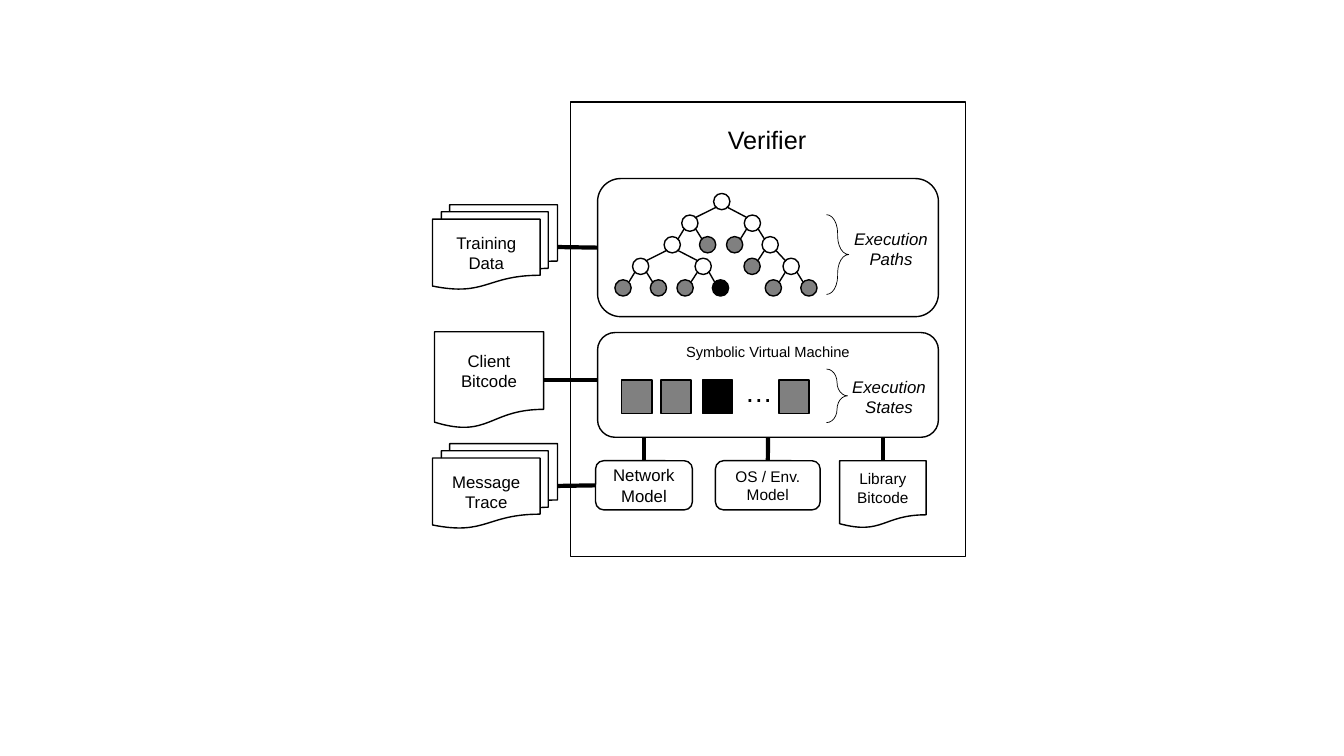
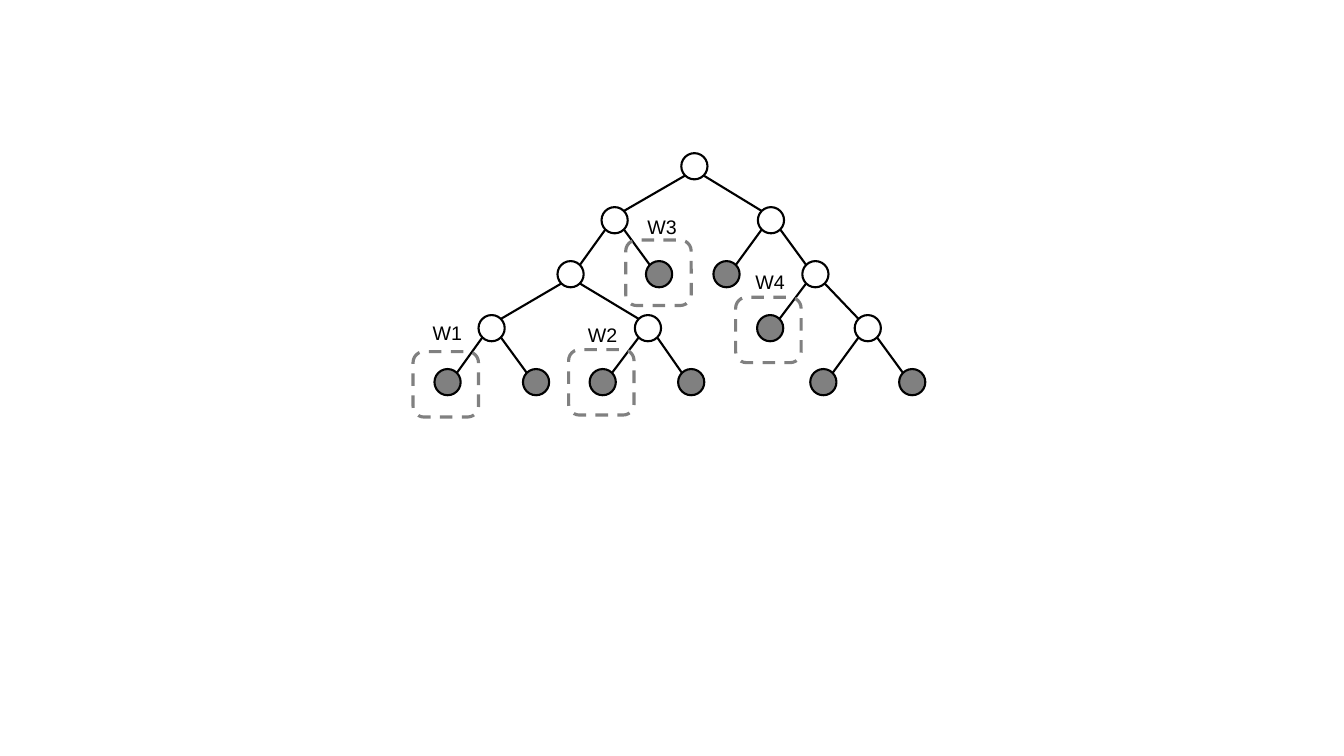
from dataclasses import dataclass
from typing import NamedTuple, Optional

from lxml.etree import SubElement
from pptx import Presentation
from pptx.dml.color import RGBColor
from pptx.enum.dml import MSO_LINE
from pptx.enum.shapes import MSO_CONNECTOR, MSO_SHAPE as Preset
from pptx.enum.text import MSO_ANCHOR as Anchor, MSO_AUTO_SIZE as AutoSize, PP_ALIGN as Align
from pptx.oxml.ns import qn
from pptx.util import Cm, Pt

FONT = "Arial"
BLACK, GREY, WHITE = "000000", "808080", "FFFFFF"
LEVEL_GAP = 1.36
TOP, LEFT, BOTTOM, RIGHT = range(4)


class Area(NamedTuple):
    x: float
    y: float
    width: float
    height: float


class Node(NamedTuple):
    x: float
    depth: int
    parent: Optional[int]


@dataclass
class Part:
    preset: Preset
    area: Area
    text: str = ""
    size: float = 12
    anchor: Anchor = Anchor.MIDDLE
    fill: Optional[str] = None


class Worker(NamedTuple):
    name: str
    box: tuple[float, float]
    label: tuple[float, float]


TREE = (
    Node(0, 0, None),
    Node(-2.01, 1, 0), Node(1.93, 1, 0),
    Node(-3.12, 2, 1), Node(-0.89, 2, 1), Node(0.81, 2, 2), Node(3.05, 2, 2),
    Node(-5.11, 3, 3), Node(-1.17, 3, 3), Node(1.91, 3, 6), Node(4.37, 3, 6),
    Node(-6.22, 4, 7), Node(-3.99, 4, 7), Node(-2.31, 4, 8), Node(-0.08, 4, 8),
    Node(3.25, 4, 10), Node(5.49, 4, 10),
)
FOUND_PATH = 14

PARTS = {
    "verifier": Part(Preset.RECTANGLE, Area(14.38, 2.57, 9.96, 11.46)),
    "paths": Part(Preset.FLOWCHART_ALTERNATE_PROCESS, Area(15.06, 4.5, 8.59, 3.48), fill=WHITE),
    "machine": Part(Preset.FLOWCHART_ALTERNATE_PROCESS, Area(15.06, 8.38, 8.59, 2.64),
                    "Symbolic Virtual Machine", 10.5, Anchor.TOP, WHITE),
    "training": Part(Preset.FLOWCHART_MULTIDOCUMENT, Area(10.9, 5.16, 3.15, 2.13), "Training Data"),
    "client": Part(Preset.FLOWCHART_DOCUMENT, Area(10.95, 8.36, 2.75, 2.44), "Client\nBitcode"),
    "trace": Part(Preset.FLOWCHART_MULTIDOCUMENT, Area(10.9, 11.18, 3.15, 2.13), "Message Trace"),
    "network": Part(Preset.FLOWCHART_ALTERNATE_PROCESS, Area(15.01, 11.61, 2.44, 1.24),
                    "Network\nModel"),
    "system": Part(Preset.FLOWCHART_ALTERNATE_PROCESS, Area(18.03, 11.61, 2.64, 1.24),
                   "OS / Env.\nModel", 11),
    "library": Part(Preset.FLOWCHART_DOCUMENT, Area(21.16, 11.61, 2.18, 1.7),
                    "Library\nBitcode", 11),
}
JOINED = (
    ("training", RIGHT, "paths", LEFT),
    ("trace", RIGHT, "network", LEFT),
    ("system", TOP, "machine", BOTTOM),
)
HALF_JOINED = (
    ("client", RIGHT, (15.06, 9.58)),
    ("network", TOP, (16.23, 11.02)),
    ("library", TOP, (22.25, 11.02)),
)
STATES = ((15.67, GREY), (16.66, GREY), (17.7, BLACK), (19.63, GREY))
BRACES = (Area(20.83, 5.41, 0.56, 2.01), Area(20.83, 9.3, 0.53, 1.35))
WORKERS = (
    Worker("W1", (10.41, 8.86), (10.64, 7.95)),
    Worker("W2", (14.33, 8.81), (14.55, 8)),
    Worker("W3", (15.77, 6.05), (16.05, 5.28)),
    Worker("W4", (18.54, 7.49), (18.77, 6.68)),
)


def colour(hex_code: str) -> RGBColor:
    return RGBColor.from_string(hex_code)


def write(frame, text: str, *, size: float = 12, align: Align = Align.CENTER,
          anchor: Anchor = Anchor.TOP, italic: bool = False, wrap: bool = True) -> None:
    frame.text = text
    frame.word_wrap = wrap
    frame.vertical_anchor = anchor
    for paragraph in frame.paragraphs:
        paragraph.alignment = align
        for run in paragraph.runs:
            run.font.name = FONT
            run.font.size = Pt(size)
            run.font.italic = italic
            run.font.color.rgb = colour(BLACK)


def add_label(shapes, area: Area, text: str, **style) -> None:
    frame = shapes.add_textbox(*map(Cm, area)).text_frame
    write(frame, text, **style)
    frame.auto_size = AutoSize.SHAPE_TO_FIT_TEXT


def add_outline(shapes, preset: Preset, area: Area, *, fill: Optional[str] = None,
                line: str = BLACK, weight: float = 1):
    outline = shapes.add_shape(preset, *map(Cm, area))
    outline.shadow.inherit = False
    if fill:
        outline.fill.solid()
        outline.fill.fore_color.rgb = colour(fill)
    else:
        outline.fill.background()
    outline.line.color.rgb = colour(line)
    outline.line.width = Pt(weight)
    return outline


def add_link(shapes, start: tuple[float, float], end: tuple[float, float], weight: float):
    link = shapes.add_connector(MSO_CONNECTOR.STRAIGHT, *map(Cm, start + end))
    link.line.color.rgb = colour(BLACK)
    link.line.width = Pt(weight)
    SubElement(link._element.spPr, qn("a:effectLst"))
    return link


def add_tree(shapes, root: tuple[float, float], scale: float, diameter: float,
             weight: float, found: Optional[int] = None) -> None:
    """Draw the execution tree, its edges meeting the circles on their diagonals."""
    centres = [(root[0] + node.x * scale, root[1] + node.depth * LEVEL_GAP * scale)
               for node in TREE]
    parents = {node.parent for node in TREE}
    reach = diameter / 2 * 0.71
    for index, (node, (x, y)) in enumerate(zip(TREE, centres)):
        if node.parent is not None:
            parent_x, parent_y = centres[node.parent]
            side = reach if x > parent_x else -reach
            add_link(shapes, (parent_x + side, parent_y + reach), (x - side, y - reach), weight)
        fill = BLACK if index == found else WHITE if index in parents else GREY
        circle = Area(x - diameter / 2, y - diameter / 2, diameter, diameter)
        add_outline(shapes, Preset.OVAL, circle, fill=fill, weight=weight)


def build_verifier(shapes) -> None:
    drawn = {}
    for name, part in PARTS.items():
        drawn[name] = add_outline(shapes, part.preset, part.area, fill=part.fill)
        if part.text:
            write(drawn[name].text_frame, part.text, size=part.size, anchor=part.anchor)
    for source, source_side, target, target_side in JOINED:
        link = add_link(shapes, (0, 0), (0, 0), 3)
        link.begin_connect(drawn[source], source_side)
        link.end_connect(drawn[target], target_side)
    for source, side, end in HALF_JOINED:
        add_link(shapes, end, end, 3).begin_connect(drawn[source], side)

    add_label(shapes, Area(18.06, 3, 2.54, 1.02), "Verifier", size=18, wrap=False)
    add_tree(shapes, (18.19, 5.08), 0.4, 0.41, 1, FOUND_PATH)
    for x, fill in STATES:
        add_outline(shapes, Preset.RECTANGLE, Area(x, 9.58, 0.76, 0.84), fill=fill)
    add_label(shapes, Area(18.52, 9.32, 1.5, 1.12), "…", size=20, align=Align.LEFT)
    for area in BRACES:
        add_outline(shapes, Preset.RIGHT_BRACE, area, weight=0.5).adjustments[0] = 0.83
    for x, y, text in ((21.26, 5.64, "Execution\nPaths"), (21.21, 9.37, "Execution\nStates")):
        add_label(shapes, Area(x, y, 2.39, 1.27), text, italic=True, wrap=False)


def build_workers(shapes) -> None:
    add_tree(shapes, (17.5, 4.19), 1, 0.66, 1.5)
    for worker in WORKERS:
        group = shapes.add_group_shape().shapes
        box = add_outline(group, Preset.ROUNDED_RECTANGLE, Area(*worker.box, 1.65, 1.65),
                          line=GREY, weight=2.25)
        box.line.dash_style = MSO_LINE.DASH
        add_label(group, Area(*worker.label, 1.27, 0.86), worker.name, size=14, wrap=False)


def main() -> None:
    deck = Presentation()
    deck.slide_width, deck.slide_height = Cm(33.87), Cm(19.05)
    blank = deck.slide_layouts[6]
    for build in (build_verifier, build_workers):
        build(deck.slides.add_slide(blank).shapes)
    deck.save("out.pptx")


if __name__ == "__main__":
    main()
